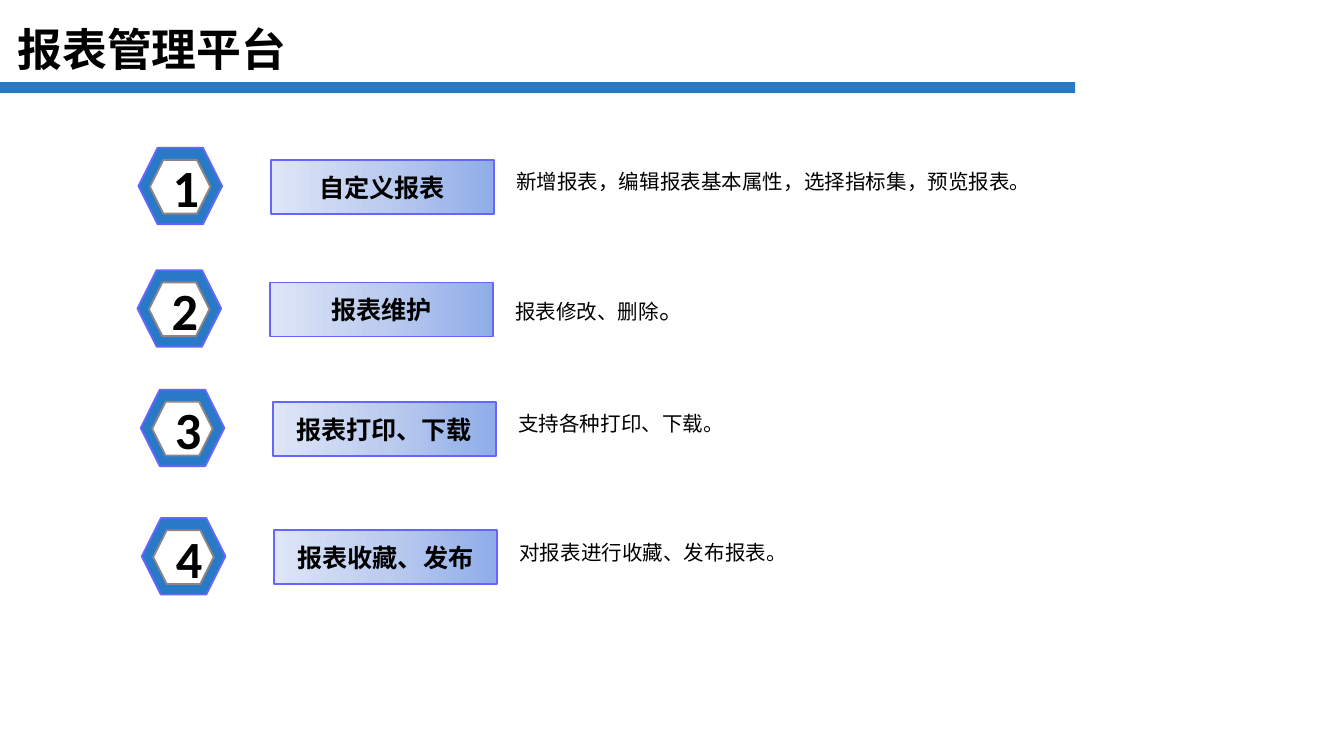
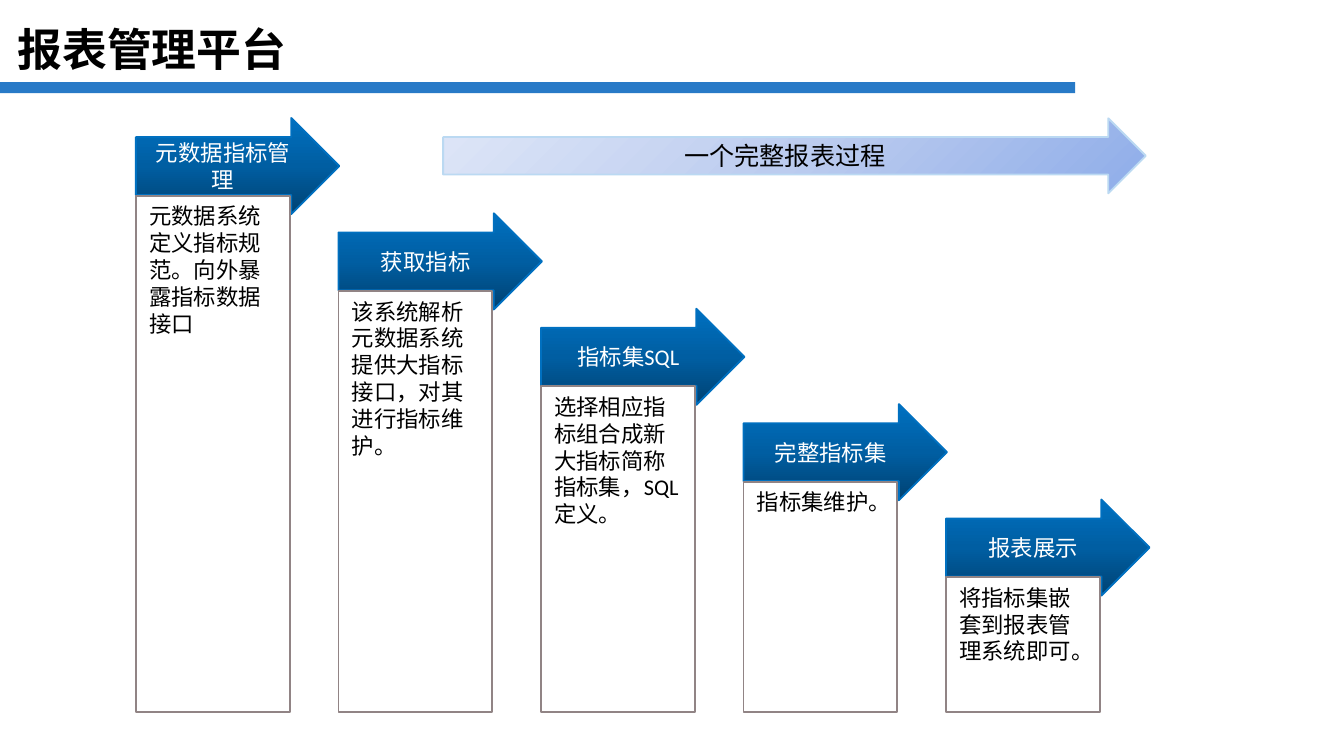
from copy import deepcopy
from dataclasses import dataclass
from typing import Optional

from pptx import Presentation
from pptx.dml.color import RGBColor
from pptx.enum.shapes import MSO_SHAPE
from pptx.enum.text import MSO_ANCHOR, MSO_AUTO_SIZE, PP_ALIGN
from pptx.oxml.ns import qn
from pptx.util import Pt

# Shared style
COLORS = {
    "blue": "287AC7", "violet": "6666FF", "gray": "918485",
    "black": "000000", "white": "FFFFFF", "pale_line": "BBD9F2", "arrow_line": "0070C0",
}
PALE_GRADIENT = ("8FADE9", "BCCCEF", "DEE6F7")
DEEP_GRADIENT = ("004272", "005EA2", "0070C0")
BODY_FONT = "Calibri"
TITLE_FONT = "Noto Sans CJK SC"
TITLE = "报表管理平台"


@dataclass(frozen=True)
class Box:
    left: float
    top: float
    width: float
    height: float

    def lengths(self) -> tuple:
        return Pt(self.left), Pt(self.top), Pt(self.width), Pt(self.height)


@dataclass(frozen=True)
class TextRun:
    text: str
    size: float
    color: str = "black"
    bold: bool = False
    font: str = BODY_FONT


@dataclass(frozen=True)
class Gradient:
    colors: tuple
    angle: float  # counter-clockwise degrees


@dataclass(frozen=True)
class Feature:
    left: float
    top: float
    name: str
    description: tuple
    text_height: float = 27.4


@dataclass(frozen=True)
class Step:
    name: str
    description: str


FEATURES = (
    Feature(74.2, 79.2, "自定义报表",
            (TextRun("新增报表，编辑报表基本属性，选择指标集，预览报表。", 11),)),
    Feature(73.7, 144.8, "报表维护",
            (TextRun("报表修改、删除", 11), TextRun("。", 13.5)), 31.7),
    Feature(75.4, 208.8, "报表打印、下载",
            (TextRun("支持各种打印、下载。", 11),)),
    Feature(76, 277.6, "报表收藏、发布",
            (TextRun("对报表进行收藏、发布报表。", 11),)),
)
STEPS = (
    Step("元数据指标管理", "元数据系统定义指标规范。向外暴露指标数据接口"),
    Step("获取指标", "该系统解析元数据系统提供大指标接口，对其进行指标维护。"),
    Step("指标集SQL", "选择相应指标组合成新大指标简称指标集，SQL定义。"),
    Step("完整指标集", "指标集维护。"),
    Step("报表展示", "将指标集嵌套到报表管理系统即可。"),
)


def rgb(name: str) -> RGBColor:
    return RGBColor.from_string(COLORS[name])


def write(shape, runs: tuple, align=PP_ALIGN.LEFT, anchor=MSO_ANCHOR.TOP,
          spacing: Optional[float] = None) -> None:
    frame = shape.text_frame
    frame.word_wrap = True
    frame.vertical_anchor = anchor
    paragraph = frame.paragraphs[0]
    paragraph.alignment = align
    if spacing:
        paragraph.line_spacing = spacing
    for item in runs:
        run = paragraph.add_run()
        run.text = item.text
        run.font.size = Pt(item.size)
        run.font.bold = item.bold
        run.font.color.rgb = rgb(item.color)
        run.font.name = item.font
        # East Asian characters use the same typeface
        latin = run.font._element.find(qn("a:latin"))
        east_asian = deepcopy(latin)
        east_asian.tag = qn("a:ea")
        latin.addnext(east_asian)


def paint_gradient(shape, gradient: Gradient) -> None:
    shape.fill.gradient()
    shape.fill.gradient_angle = gradient.angle
    stop_list = shape._element.spPr.find(".//" + qn("a:gsLst"))
    stop_list.append(deepcopy(stop_list[0]))
    for index, stop in enumerate(shape.fill.gradient_stops):
        stop.position = index / 2
        stop.color.rgb = RGBColor.from_string(gradient.colors[index])


def draw_shape(shapes, kind, box: Box, fill, line: Optional[str] = None):
    shape = shapes.add_shape(kind, *box.lengths())
    shape.shadow.inherit = False
    if isinstance(fill, Gradient):
        paint_gradient(shape, fill)
    else:
        shape.fill.solid()
        shape.fill.fore_color.rgb = rgb(fill)
    if line:
        shape.line.color.rgb = rgb(line)
        shape.line.width = Pt(1)
    else:
        shape.line.fill.background()
    return shape


def add_titled_slide(presentation, layout):
    slide = presentation.slides.add_slide(layout)
    title = slide.shapes.title
    title.left, title.top, title.width, title.height = Box(2.2, 9.4, 325.4, 37.4).lengths()
    title.text_frame.auto_size = MSO_AUTO_SIZE.NONE
    write(title, (TextRun(TITLE, 24, bold=True, font=TITLE_FONT),),
          anchor=MSO_ANCHOR.MIDDLE, spacing=0.9)
    return slide


def draw_feature(slide, number: int, feature: Feature) -> None:
    left, top = feature.left, feature.top
    # Numbered hexagon
    badge = slide.shapes.add_group_shape().shapes
    draw_shape(badge, MSO_SHAPE.HEXAGON, Box(left, top, 44.8, 41), "blue", "violet")
    center = draw_shape(badge, MSO_SHAPE.HEXAGON, Box(left + 6.1, top + 6.5, 32.4, 28.8),
                        "white", "gray")
    write(center, (TextRun(str(number), 28, bold=True),), PP_ALIGN.CENTER, MSO_ANCHOR.MIDDLE)
    # Label and description
    row = slide.shapes.add_group_shape().shapes
    label = draw_shape(row, MSO_SHAPE.RECTANGLE, Box(left + 70.8, top + 6.5, 119.5, 29),
                       Gradient(PALE_GRADIENT, 180), "violet")
    write(label, (TextRun(feature.name, 13.5, bold=True),), PP_ALIGN.CENTER, MSO_ANCHOR.MIDDLE)
    description = row.add_textbox(*Box(left + 195.2, top + 1.4, 360, feature.text_height).lengths())
    write(description, feature.description, spacing=1.5)
    description.text_frame.auto_size = MSO_AUTO_SIZE.SHAPE_TO_FIT_TEXT


def draw_step(slide, index: int, step: Step) -> None:
    left = 72.8 + index * 108.5
    top = 63.2 + index * 51.1
    body_top = top + 41.6
    bottom = 381.5
    group = slide.shapes.add_group_shape().shapes
    arrow = draw_shape(group, MSO_SHAPE.RIGHT_ARROW, Box(left, top, 109, 51.5),
                       Gradient(DEEP_GRADIENT, 90), "arrow_line")
    arrow.adjustments[0] = 0.602
    write(arrow, (TextRun(step.name, 12, "white"),), PP_ALIGN.CENTER, MSO_ANCHOR.MIDDLE)
    body = draw_shape(group, MSO_SHAPE.RECTANGLE, Box(left, body_top, 82.4, bottom - body_top),
                      "white", "gray")
    write(body, (TextRun(step.description, 12),))


presentation = Presentation()
presentation.slide_width, presentation.slide_height = Pt(720), Pt(405)
title_layout = presentation.slide_layouts[5]

# Slide 1: feature list
features_slide = add_titled_slide(presentation, title_layout)
# The band under the title belongs to the layout
band = draw_shape(features_slide.shapes, MSO_SHAPE.RECTANGLE, Box(0, 44, 576, 6), "blue")
title_layout.shapes._spTree.append(band._element)
for number, feature in enumerate(FEATURES, start=1):
    draw_feature(features_slide, number, feature)

# Slide 2: descending process steps
process_slide = add_titled_slide(presentation, title_layout)
for index, step in enumerate(STEPS):
    draw_step(process_slide, index, step)
overview = draw_shape(process_slide.shapes, MSO_SHAPE.RIGHT_ARROW, Box(237.4, 63.4, 376.4, 40.2),
                      Gradient(PALE_GRADIENT, 135), "pale_line")
write(overview, (TextRun("一个完整报表过程", 13.5),), PP_ALIGN.CENTER, MSO_ANCHOR.MIDDLE)

presentation.save("out.pptx")
